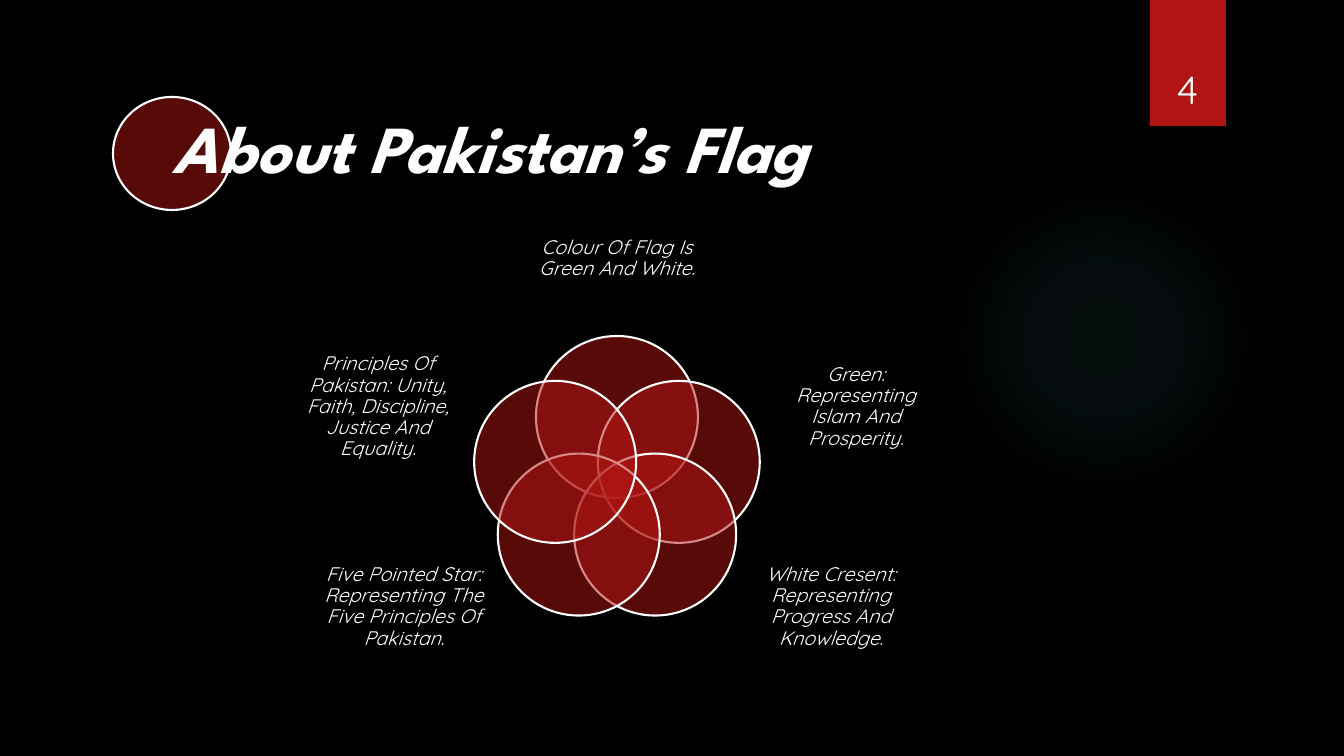
import math
import pptx
import pptx.util
import pptx.dml.color
import pptx.enum.shapes
import pptx.enum.text
import pptx.oxml
import pptx.oxml.ns
from lxml import etree

PX = 914400 / 100.8
WHITE = "FFFFFF"
RED = "B01513"
GLOW = "50B9C1"
CENTER = pptx.enum.text.PP_ALIGN.CENTER
MIDDLE = pptx.enum.text.MSO_ANCHOR.MIDDLE
BOTTOM = pptx.enum.text.MSO_ANCHOR.BOTTOM
OVAL = pptx.enum.shapes.MSO_SHAPE.OVAL
RECTANGLE = pptx.enum.shapes.MSO_SHAPE.RECTANGLE

presentation = pptx.Presentation()
presentation.slide_width = round(1344 * PX)
presentation.slide_height = round(756 * PX)
slide = presentation.slides.add_slide(presentation.slide_layouts[6])
slide.background.fill.solid()
slide.background.fill.fore_color.rgb = pptx.dml.color.RGBColor.from_string("000000")


def add_panel(kind, box, color, alpha=100, outline=None):
    shape = slide.shapes.add_shape(kind, *[round(value * PX) for value in box])
    shape.shadow.inherit = False
    shape.fill.solid()
    shape.fill.fore_color.rgb = pptx.dml.color.RGBColor.from_string(color)
    if alpha < 100:
        color_element = shape.fill._xPr.find(".//" + pptx.oxml.ns.qn("a:srgbClr"))
        etree.SubElement(color_element, pptx.oxml.ns.qn("a:alpha"), val=str(alpha * 1000))
    if outline:
        shape.line.color.rgb = pptx.dml.color.RGBColor.from_string(outline)
        shape.line.width = pptx.util.Pt(1.5)
    else:
        shape.line.fill.background()
    return shape


def add_text(text, box, size, font, anchor=MIDDLE, align=CENTER, spacing=0.9, bold=False, italic=True):
    text_frame = slide.shapes.add_textbox(*[round(value * PX) for value in box]).text_frame
    text_frame.word_wrap = True
    text_frame.vertical_anchor = anchor
    text_frame.margin_left = text_frame.margin_right = 0
    text_frame.margin_top = text_frame.margin_bottom = 0
    text_frame.text = text
    paragraph = text_frame.paragraphs[0]
    paragraph.alignment = align
    paragraph.line_spacing = spacing
    run = paragraph.runs[0]
    run.font.size = pptx.util.Pt(size)
    run.font.name = font
    run.font.bold = bold
    run.font.italic = italic
    run.font.color.rgb = pptx.dml.color.RGBColor.from_string(WHITE)
    return text_frame


glow = add_panel(OVAL, (949, 184, 310, 310), GLOW)
glow.fill.gradient()
gradient = glow.fill._xPr.find(pptx.oxml.ns.qn("a:gradFill"))
stops = "".join(
    f'<a:gs pos="{position}000"><a:srgbClr val="{GLOW}"><a:alpha val="{alpha}000"/></a:srgbClr></a:gs>'
    for position, alpha in [(0, 7), (36, 6), (69, 0), (100, 0)]
)
gradient.getparent().replace(gradient, pptx.oxml.parse_xml(
    f'<a:gradFill {pptx.oxml.ns.nsdecls("a")} rotWithShape="1"><a:gsLst>{stops}</a:gsLst>'
    '<a:path path="circle"><a:fillToRect l="50000" t="50000" r="50000" b="50000"/></a:path></a:gradFill>'
))

add_panel(RECTANGLE, (1150, 0, 76, 126), RED)
add_panel(OVAL, (113, 97, 118, 113), RED, 50, WHITE)
add_text("About Pakistan’s Flag", (173, 75, 810, 154), 48, "League Spartan",
         align=pptx.enum.text.PP_ALIGN.LEFT, bold=True)
page_number = add_text("4", (1141, 32, 93, 85), 28, "Quicksand",
                       anchor=BOTTOM, spacing=1.0, italic=False)
page_number.margin_bottom = round(5 * PX)

petals = [
    ("Colour Of Flag Is Green And White.", (523, 205, 188, 108)),
    ("Green: Representing Islam And Prosperity.", (772, 348, 168, 118)),
    ("White Cresent: Representing Progress And Knowledge.", (747, 548, 168, 118)),
    ("Five Pointed Star: Representing The Five Principles Of Pakistan.", (320, 548, 168, 118)),
    ("Principles Of Pakistan: Unity, Faith, Discipline, Justice And Equality.", (294, 348, 168, 118)),
]
ring_x, ring_y, ring_radius, petal_size = 617, 482, 65, 162
for index, (label, label_box) in enumerate(petals):
    angle = 2 * math.pi * index / len(petals)
    left = ring_x + ring_radius * math.sin(angle) - petal_size / 2
    top = ring_y - ring_radius * math.cos(angle) - petal_size / 2
    add_panel(OVAL, (left, top, petal_size, petal_size), RED, 50, WHITE)
    add_text(label, label_box, 14, "Quicksand")

presentation.save("out.pptx")
